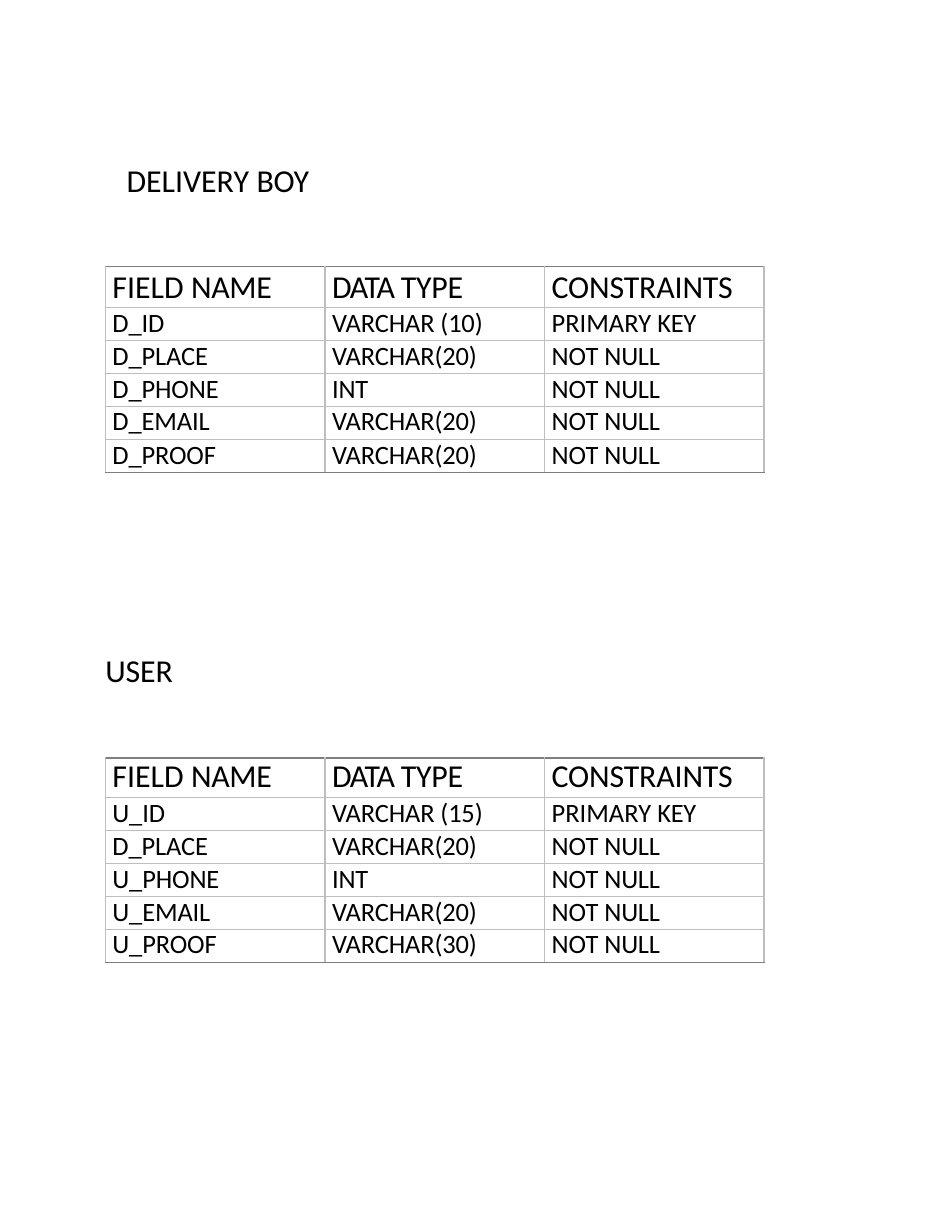
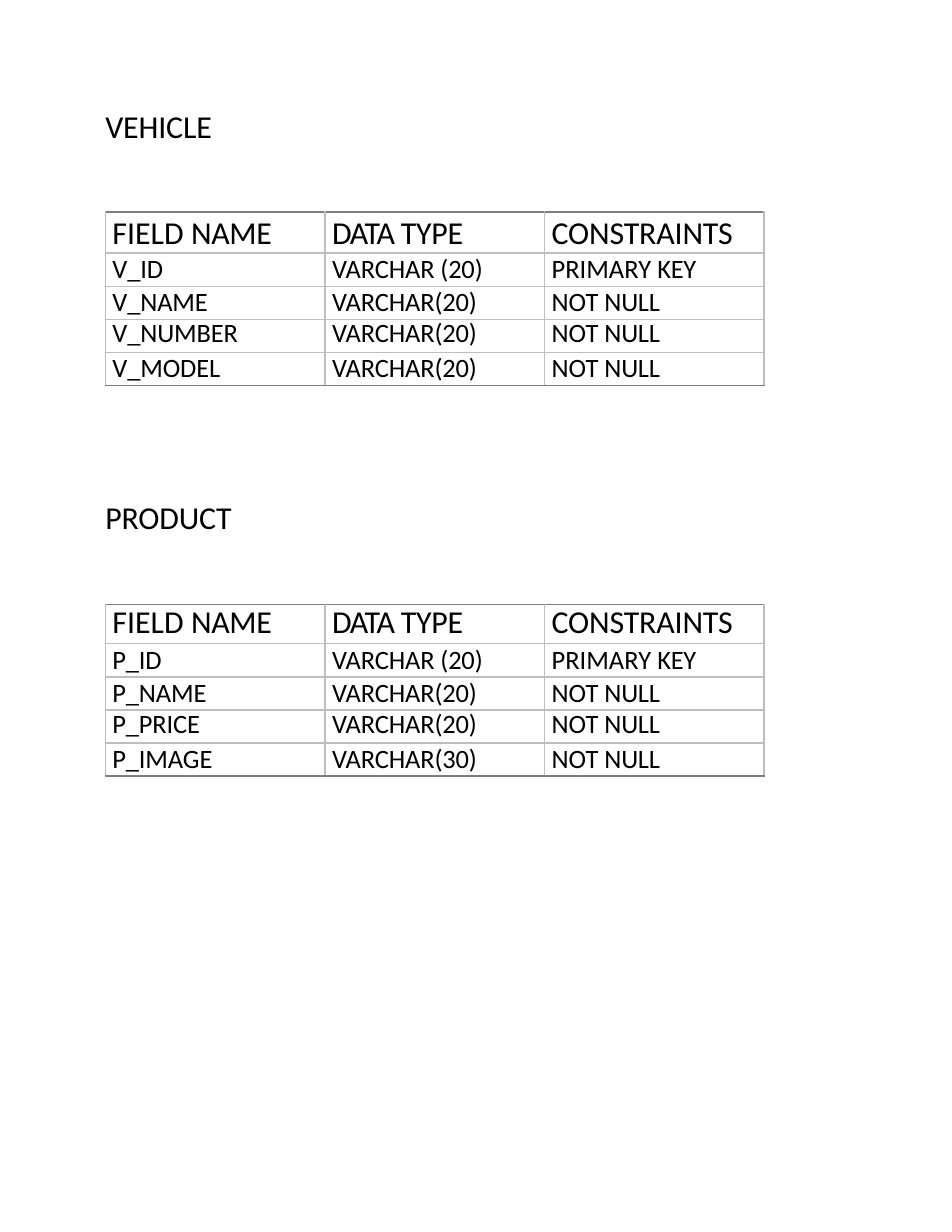
from lxml import etree
from pptx import Presentation
from pptx import util as u
from pptx.dml.color import RGBColor
from pptx.enum import text
from pptx.oxml.ns import qn

COLOURS = {"ink": "000000", "grid": "BEBEBE", "edge": "7E7E7E"}
FONT = "Calibri"
HEADING_SIZE, BODY_SIZE = 20.5, 17
TABLE_LEFT, COLUMN_WIDTH = 2.39, 4.98
HEADER = ("FIELD |NAME", "DATA |TYPE", "CONSTRAINTS")
TRACKING = {"DATA ": -0.8}

DELIVERY_BOY = [("D_ID", "VARCHAR (10)"), ("D_PLACE", "VARCHAR(20)"), ("D_PHONE", "INT"),
                ("D_EMAIL", "VARCHAR(20)"), ("D_PROOF", "VARCHAR(20)")]
USER = [("U_ID", "VARCHAR (15)"), ("D_PLACE", "VARCHAR(20)"), ("U_PHONE", "INT"),
        ("U_EMAIL", "VARCHAR(20)"), ("U_PROOF", "VARCHAR(30)")]
VEHICLE = [("V_ID", "VARCHAR (20)"), ("V_NAME", "VARCHAR(20)"),
           ("V_NUMBER", "VARCHAR(20)"), ("V_MODEL", "VARCHAR(20)")]
PRODUCT = [("P_ID", "VARCHAR (20)"), ("P_NAME", "VARCHAR(20)"),
           ("P_PRICE", "VARCHAR(20)"), ("P_IMAGE", "VARCHAR(30)")]


def add_spans(para, wording, size):
    """Add the runs of a text, parted by bars, with their letter spacing."""
    parts = wording.split("|")
    for index, part in enumerate(parts):
        span = para.add_run()
        span.text = part
        span.font.size = u.Pt(size)
        span.font.name = FONT
        span.font.color.rgb = RGBColor.from_string(COLOURS["ink"])
        usual = -0.1 if len(parts) == 1 else -0.2 * index
        spacing = TRACKING.get(part, usual)
        span._r.get_or_add_rPr().set("spc", str(round(spacing * 100)))


def set_margins(holder, left, top):
    """Set the inner margins of a cell or text frame in centimetres."""
    holder.margin_left, holder.margin_top = u.Cm(left), u.Cm(top)
    holder.margin_right = holder.margin_bottom = 0


def add_title(page, wording, left, top, width):
    """Add the name of a database table."""
    box = page.shapes.add_textbox(u.Cm(left), u.Cm(top), u.Cm(width), u.Cm(0.94))
    frame = box.text_frame
    frame.word_wrap = True
    frame.auto_size = text.MSO_AUTO_SIZE.SHAPE_TO_FIT_TEXT
    set_margins(frame, 0.03, 0.08)
    add_spans(frame.paragraphs[0], wording, HEADING_SIZE)


def set_borders(cell, top, bottom):
    """Draw the four borders of a cell."""
    properties = cell._tc.get_or_add_tcPr()
    sides = {"L": "grid", "R": "grid", "T": top, "B": bottom}
    for side, colour in sides.items():
        line = etree.SubElement(properties, qn(f"a:ln{side}"), w=str(u.Pt(1)))
        fill = etree.SubElement(line, qn("a:solidFill"))
        etree.SubElement(fill, qn("a:srgbClr"), val=COLOURS[colour])


def add_field_table(page, top, fields, header_height, header_spacing, tight_row):
    """Add a table of fields; the tight row has closer line spacing."""
    rows = [HEADER]
    for index, field in enumerate(fields):
        rows.append((*field, "NOT |NULL" if index else "PRIMARY |KEY"))
    heights = [header_height] + [0.75] * len(fields)
    frame = page.shapes.add_table(len(rows), len(HEADER), u.Cm(TABLE_LEFT), u.Cm(top),
                                  u.Cm(COLUMN_WIDTH * len(HEADER)), u.Cm(sum(heights)))
    table = frame.table
    table.first_row = table.horz_banding = False
    for column in table.columns:
        column.width = u.Cm(COLUMN_WIDTH)
    for index, row in enumerate(rows):
        table.rows[index].height = u.Cm(heights[index])
        is_header, is_last = index == 0, index == len(rows) - 1
        for cell, wording in zip(table.rows[index].cells, row):
            set_borders(cell, "edge" if is_header else "grid", "edge" if is_last else "grid")
            cell.fill.background()
            set_margins(cell, 0.16, 0.04 if is_header and not header_spacing else 0)
            para = cell.text_frame.paragraphs[0]
            if is_header and header_spacing:
                para.line_spacing = u.Pt(header_spacing)
            elif index == tight_row:
                para.line_spacing = u.Pt(19.7)
            add_spans(para, wording, HEADING_SIZE if is_header else BODY_SIZE)


def main():
    """Build the pages of table definitions."""
    deck = Presentation()
    deck.slide_width, deck.slide_height = u.Cm(21.59), u.Cm(27.94)

    page = deck.slides.add_slide(deck.slide_layouts[6])
    add_title(page, "DELIVERY |BOY", 2.84, 3.56, 4.27)
    add_field_table(page, 6.04, DELIVERY_BOY, 0.93, None, 4)
    add_title(page, "USER", 2.36, 14.68, 1.63)
    add_field_table(page, 17.19, USER, 0.89, 24.3, 5)

    page = deck.slides.add_slide(deck.slide_layouts[6])
    add_title(page, "VEHICLE", 2.36, 2.34, 2.54)
    add_field_table(page, 4.81, VEHICLE, 0.93, None, 3)
    add_title(page, "PRODUCT", 2.36, 11.2, 3)
    add_field_table(page, 13.71, PRODUCT, 0.89, 24.4, 3)

    deck.save("out.pptx")


if __name__ == "__main__":
    main()
